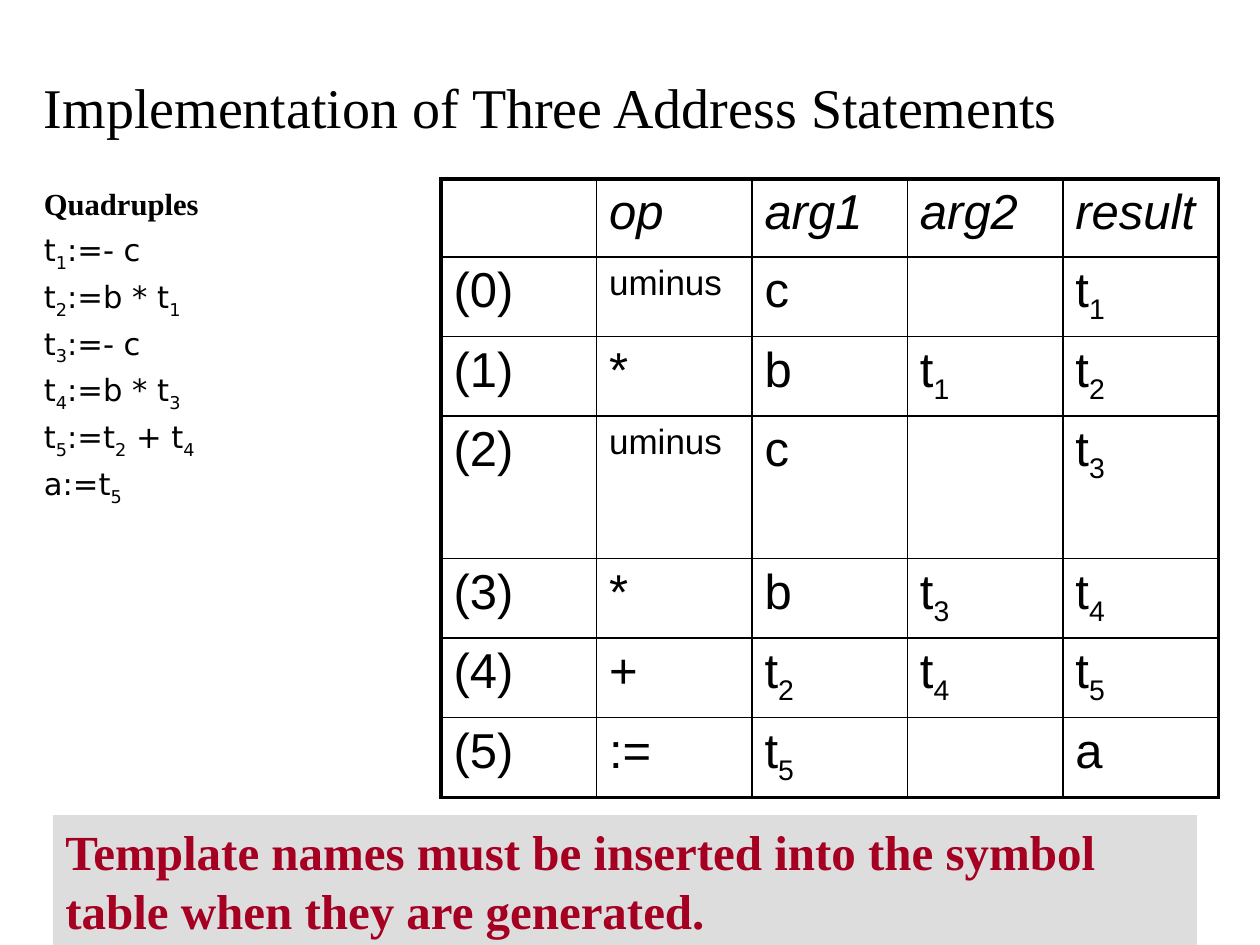
from pptx import Presentation
from pptx.dml.color import RGBColor
from pptx.enum.shapes import MSO_SHAPE
from pptx.enum.text import MSO_ANCHOR, PP_ALIGN
from pptx.oxml import parse_xml
from pptx.util import Inches, Pt

BLACK = RGBColor(0x00, 0x00, 0x00)
GREY = RGBColor(0xDD, 0xDD, 0xDD)
CRIMSON = RGBColor(0xA5, 0x00, 0x21)
RECTANGLE = MSO_SHAPE.RECTANGLE
TOP, MIDDLE = MSO_ANCHOR.TOP, MSO_ANCHOR.MIDDLE
LEFT = PP_ALIGN.LEFT
SERIF, SANS, CODE = "Times New Roman", "Arial", "DejaVu Sans"
DRAWING = "http://schemas.openxmlformats.org/drawingml/2006/main"

STATEMENTS = ["t_1:=- c", "t_2:=b * t_1", "t_3:=- c", "t_4:=b * t_3", "t_5:=t_2 + t_4", "a:=t_5"]
QUADRUPLES = [
    ["", "op", "arg1", "arg2", "result"],
    ["(0)", "uminus", "c", "", "t_1"],
    ["(1)", "*", "b", "t_1", "t_2"],
    ["(2)", "uminus", "c", "", "t_3"],
    ["(3)", "*", "b", "t_3", "t_4"],
    ["(4)", "+", "t_2", "t_4", "t_5"],
    ["(5)", ":=", "t_5", "", "a"],
]
ROW_HEIGHTS = [0.62, 0.62, 0.62, 1.13, 0.62, 0.62, 0.62]


class SlideStyle:
    """Draws text, tables and banners on one slide in a shared style."""

    def __init__(self, slide):
        self.slide = slide

    def set_text(self, paragraph, text, font, size, color=BLACK, bold=False, italic=False):
        paragraph.alignment = LEFT
        paragraph.font.name = font
        paragraph.font.size = Pt(size)
        paragraph.font.color.rgb = color
        paragraph.font.bold = bold
        paragraph.font.italic = italic
        plain, *indexed = text.split("_")
        paragraph.add_run().text = plain
        for piece in indexed:
            subscript = paragraph.add_run()
            subscript.text = piece[0]
            subscript.font._element.set("baseline", "-25000")
            if piece[1:]:
                paragraph.add_run().text = piece[1:]

    def text_box(self, left, top, width, height, anchor=TOP):
        box = self.slide.shapes.add_textbox(Inches(left), Inches(top), Inches(width), Inches(height))
        box.text_frame.word_wrap = True
        box.text_frame.vertical_anchor = anchor
        return box.text_frame

    def title(self, text):
        heading = self.text_box(0.25, 0.5, 9.58, 0.75, MIDDLE).paragraphs[0]
        heading.line_spacing = 0.9
        self.set_text(heading, text, SERIF, 32)

    def listing(self, heading, statements):
        frame = self.text_box(0.25, 1.5, 3.33, 2.5)
        frame.paragraphs[0].line_spacing = 0.7
        self.set_text(frame.paragraphs[0], heading, SERIF, 17.5, bold=True)
        for statement in statements:
            line = frame.add_paragraph()
            line.line_spacing = 0.7
            line.space_before = Pt(10)
            self.set_text(line, statement, CODE, 17.5)

    def border(self, cell, widths):
        properties = cell._tc.get_or_add_tcPr()
        for position, (side, width) in enumerate(widths.items()):
            line = parse_xml(
                f'<a:ln{side} xmlns:a="{DRAWING}" w="{Pt(width)}"><a:solidFill>'
                f'<a:srgbClr val="{BLACK}"/></a:solidFill></a:ln{side}>')
            properties.insert(position, line)

    def table(self, rows, row_heights):
        last_row, last_column = len(rows) - 1, len(rows[0]) - 1
        grid = self.slide.shapes.add_table(
            len(rows), len(rows[0]), Inches(3.5), Inches(1.42),
            Inches(6.17), Inches(sum(row_heights))).table
        grid.first_row = grid.horz_banding = False
        for row, height in zip(grid.rows, row_heights):
            row.height = Inches(height)
        for r, row in enumerate(rows):
            for c, text in enumerate(row):
                cell = grid.cell(r, c)
                cell.fill.background()
                edges = {"L": c == 0, "R": c == last_column, "T": r == 0, "B": r == last_row}
                self.border(cell, {side: 2.25 if outer else 1 for side, outer in edges.items()})
                if text:
                    size = 20 if text == "uminus" else 28
                    self.set_text(cell.text_frame.paragraphs[0], text, SANS, size, italic=r == 0)

    def banner(self, text):
        band = self.slide.shapes.add_shape(
            RECTANGLE, Inches(0.42), Inches(6.47), Inches(9.08), Inches(1.03))
        band.shadow.inherit = False
        band.fill.solid()
        band.fill.fore_color.rgb = GREY
        band.line.fill.background()
        band.text_frame.word_wrap = True
        band.text_frame.vertical_anchor = TOP
        self.set_text(band.text_frame.paragraphs[0], text, SERIF, 28, CRIMSON, bold=True)


def main():
    deck = Presentation()
    deck.slide_width, deck.slide_height = Inches(10), Inches(7.5)
    style = SlideStyle(deck.slides.add_slide(deck.slide_layouts[6]))
    style.title("Implementation of Three Address Statements")
    style.listing("Quadruples", STATEMENTS)
    style.table(QUADRUPLES, ROW_HEIGHTS)
    style.banner("Template names must be inserted into the symbol table when they are generated.")
    deck.save("out.pptx")


if __name__ == "__main__":
    main()
